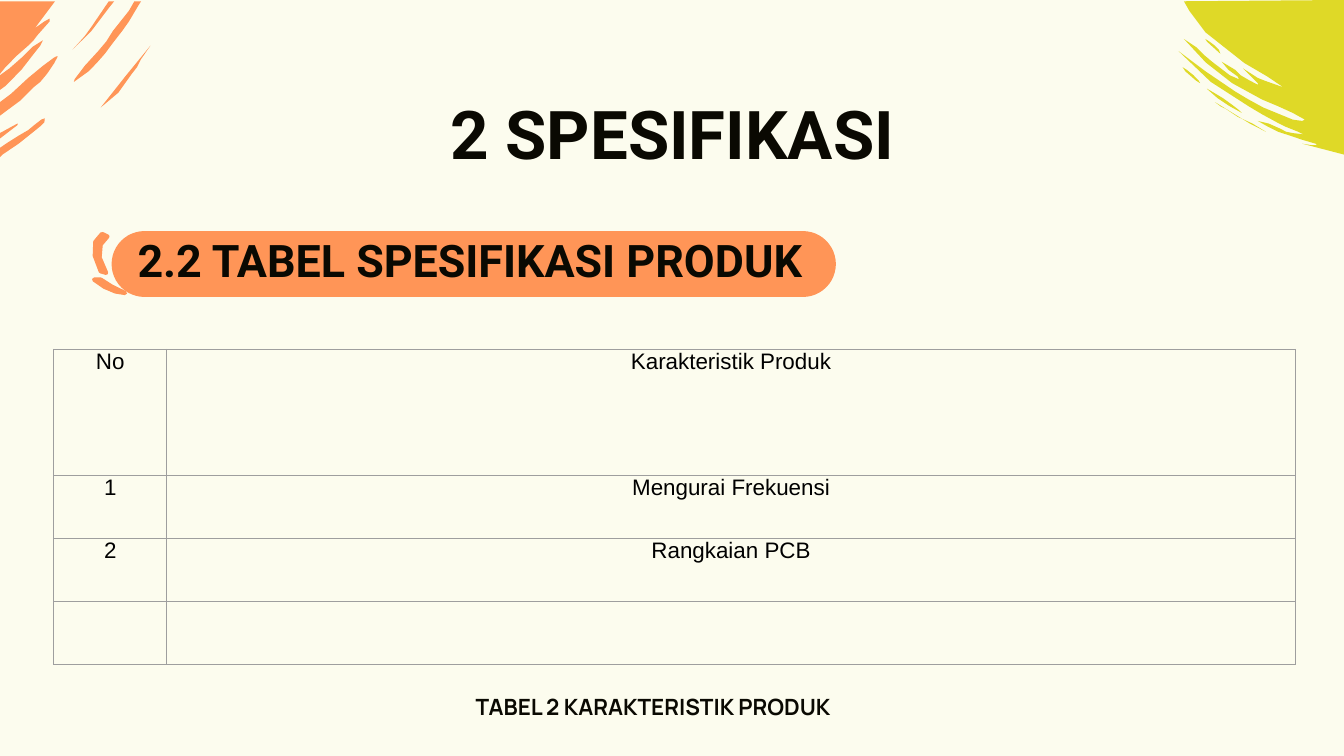
"""Build the product specification slide with its table and brush accents."""
import pptx
import pptx.dml.color
import pptx.enum.shapes
import pptx.enum.text
import pptx.oxml
import pptx.oxml.ns
import pptx.util

Pt = pptx.util.Pt
RGBColor = pptx.dml.color.RGBColor
CENTER = pptx.enum.text.PP_ALIGN.CENTER
TOP = pptx.enum.text.MSO_ANCHOR.TOP
MIDDLE = pptx.enum.text.MSO_ANCHOR.MIDDLE

CREAM = RGBColor(0xFC, 0xFC, 0xEE)
ORANGE = RGBColor(0xFF, 0x95, 0x57)
LIME = RGBColor(0xDF, 0xD9, 0x27)
INK = RGBColor(0x0A, 0x09, 0x02)
BLACK = RGBColor(0, 0, 0)
GREY = RGBColor(0x9E, 0x9E, 0x9E)

ORANGE_BRUSH = [
    [(0, 74.2), (9.4, 67), (9.4, 66.2), (0, 71.3)],
    [(0, 84.2), (1.4, 82.8), (10, 77), (18, 70.6), (21.6, 67.7), (23.8, 65.5), (24, 63.4),
     (22.3, 64), (19.4, 66.2), (15, 69.8), (10, 72.7), (4.3, 76.3), (0, 79.2)],
    [(0, 62), (2.9, 59.8), (10.8, 54), (18, 46.8), (21.6, 43.9), (25.2, 39.6), (29, 34),
     (31, 30.2), (30.2, 30.2), (28.8, 31), (23, 35.3), (15.1, 41.8), (5.8, 50.4), (0, 54.7)],
    [(54, 57.6), (63.4, 49.7), (70.6, 39.6), (73.4, 36), (75.6, 31.7), (80.6, 24.5),
     (67.3, 40.8)],
    [(0, 48.2), (2.9, 46.1), (11.5, 37.4), (18.7, 28.1), (21.6, 24.5), (23, 21.6),
     (17.3, 25.2), (11.5, 31), (5, 36.7), (0, 40.3)],
    [(39.6, 43.9), (47.5, 38.2), (51.8, 33.8), (56.2, 28.8), (60.5, 23), (65.5, 16.6),
     (69.1, 11.5), (74.2, 2.9), (75.6, 0.7), (72, 0.7), (69.1, 5.8), (60.5, 16.6),
     (56.9, 22.3), (52.6, 27.4), (45.4, 35.3), (40, 42.5)],
    [(38.9, 26.6), (49, 16.6), (58.3, 4.3), (61.2, 0.7), (58.3, 0.7), (49, 14.4),
     (45.4, 19.4)],
    [(0, 39.6), (2.9, 36), (5.8, 33.1), (8.6, 30.2), (15.1, 24.5), (18, 21.6), (20.2, 18.7),
     (26.6, 11.5), (26.6, 10), (23.8, 11.5), (18.7, 15.1), (29.5, 0.7), (0, 0.7)],
]
LIME_BRUSH = [
    [(720, 0), (720, 82.8), (697.7, 77), (702.7, 77.8), (705.6, 77.8), (704.9, 77),
     (697.7, 74.9), (691.2, 72.7), (684.7, 70.6), (679, 67.7), (673.9, 64.8), (679.7, 66.2),
     (686.2, 69.1), (689, 70.6), (692.6, 71.3), (698.4, 72), (695.5, 70.6), (688.3, 67.7),
     (684, 65.5), (676.1, 61.2), (668.9, 56.9), (648.7, 43.9), (631.4, 27.4), (645.8, 38.2),
     (661.7, 49), (668.9, 53.3), (676.8, 57.6), (692.6, 64.1), (697.7, 64.8), (699.1, 64.1),
     (692.6, 60.5), (684.7, 56.9), (676.1, 53.3), (660.2, 44.6), (646, 33.5), (634.3, 20.9),
     (640.8, 25.2), (645.1, 29.5), (649.4, 33.1), (658.8, 40.3), (663.8, 42.5), (663.1, 41),
     (658.1, 37.4), (654.5, 33.1), (661.7, 37.4), (664.6, 40.3), (669.6, 43.2),
     (673.9, 45.4), (673.9, 44.6), (670.3, 41), (666, 36.7), (673.9, 41.8), (677.5, 43.2),
     (687.6, 46.8), (679, 41), (666.7, 33.8), (645.8, 17.3), (637.2, 5.8), (634.3, 0.7)],
    [(645.8, 20.9), (648, 22.3), (650.9, 24.5), (653, 26.6), (653.8, 28.8), (646.6, 22.3)],
    [(633.6, 36), (635.8, 37.4), (639.4, 40.3), (642.2, 43.2), (643, 44.6), (640.8, 43.2),
     (635, 38.2)],
    [(646.6, 47.5), (651.6, 50.4), (655.2, 52.6), (660.2, 56.2), (663.8, 59), (665.3, 60.5),
     (658.8, 56.9), (652.3, 52.6), (647.3, 48.2)],
    [(650.9, 54.7), (653.8, 56.9), (656.6, 58.3), (663.1, 62.6), (671, 66.2), (678.2, 70.6),
     (669.6, 66.2)],
]
LOWER_TICK = [[(67, 157), (61.9, 156.2), (56, 153.7), (50.4, 149.8), (54, 149.8), (60, 153.6)]]
UPPER_TICK = [[(56.9, 146.2), (54, 145.4), (50.8, 137), (51.1, 129.6), (54.7, 125.3),
               (57.6, 126.7), (54, 131), (53.4, 138)]]
ROWS = [("No", "Karakteristik Produk"), ("1", "Mengurai Frekuensi"),
        ("2", "Rangkaian PCB"), ("", "")]


class SlideBuilder:
    """Hold the style and the current page, and draw each kind of element."""

    def __init__(self, page):
        """Start on a page with the cream background."""
        self.page = page
        page.background.fill.solid()
        page.background.fill.fore_color.rgb = CREAM

    def paint(self, shape, color, outline=0):
        """Fill a shape and give it an outline of the same colour or none."""
        shape.shadow.inherit = False
        shape.fill.solid()
        shape.fill.fore_color.rgb = color
        if outline:
            shape.line.color.rgb = color
            shape.line.width = Pt(outline)
        else:
            shape.line.fill.background()

    def pill(self, left, top, width, height, color):
        """Draw a fully rounded bar."""
        shape = self.page.shapes.add_shape(
            pptx.enum.shapes.MSO_SHAPE.ROUNDED_RECTANGLE, Pt(left), Pt(top), Pt(width), Pt(height))
        shape.adjustments[0] = 0.5
        self.paint(shape, color)

    def brush(self, strokes, color, outline=0):
        """Draw closed strokes as one freeform."""
        builder = None
        for stroke in strokes:
            start, *rest = [(Pt(x), Pt(y)) for x, y in stroke]
            if builder is None:
                builder = self.page.shapes.build_freeform(*start)
            else:
                builder.move_to(*start)
            builder.add_line_segments(rest, close=True)
        self.paint(builder.convert_to_shape(), color, outline)

    def style(self, para, font, size, color, bold=False, after=0):
        """Set the look of a centred paragraph."""
        para.alignment = CENTER
        para.space_after = Pt(after)
        para.font.name = font
        para.font.size = Pt(size)
        para.font.bold = bold
        para.font.color.rgb = color

    def text(self, left, top, width, height, words, font, size, anchor=TOP):
        """Add a bold centred line of text."""
        box = self.page.shapes.add_textbox(Pt(left), Pt(top), Pt(width), Pt(height))
        frame = box.text_frame
        frame.word_wrap = True
        frame.vertical_anchor = anchor
        frame.margin_left = frame.margin_right = Pt(7.2)
        frame.margin_top = frame.margin_bottom = Pt(7.2)
        frame.text = words
        self.style(frame.paragraphs[0], font, size, INK, bold=True)

    def border(self, cell):
        """Give a cell a thin grey line on each side."""
        properties = cell._tc.get_or_add_tcPr()
        for index, side in enumerate("LRTB"):
            properties.insert(index, pptx.oxml.parse_xml(
                f'<a:ln{side} {pptx.oxml.ns.nsdecls("a")} w="{Pt(0.75)}">'
                f'<a:solidFill><a:srgbClr val="{GREY}"/></a:solidFill></a:ln{side}>'))

    def table(self, left, top, widths, heights, rows):
        """Add a plain bordered table."""
        table = self.page.shapes.add_table(
            len(heights), len(widths), Pt(left), Pt(top), Pt(sum(widths)), Pt(sum(heights))).table
        table.first_row = table.horz_banding = False
        for column, width in zip(table.columns, widths):
            column.width = Pt(width)
        for row, height, entries in zip(table.rows, heights, rows):
            row.height = Pt(height)
            for cell, words in zip(row.cells, entries):
                cell.text = words
                cell.margin_left = cell.margin_right = Pt(5)
                cell.margin_top = cell.margin_bottom = 0
                cell.fill.background()
                self.border(cell)
                self.style(cell.text_frame.paragraphs[0], "Arial", 12, BLACK, after=6)


def main():
    """Build and save the deck."""
    deck = pptx.Presentation()
    deck.slide_width, deck.slide_height = Pt(720), Pt(405)
    slide = SlideBuilder(deck.slides.add_slide(deck.slide_layouts[6]))
    slide.pill(59.8, 123.8, 388, 35.3, ORANGE)
    slide.brush(LOWER_TICK, ORANGE, 2.25)
    slide.brush(UPPER_TICK, ORANGE, 2.25)
    slide.text(136, 42.5, 448.5, 82.8, "2 SPESIFIKASI", "Roboto", 36)
    slide.text(242, 364.3, 216, 28, "TABEL 2 KARAKTERISTIK PRODUK", "Manrope", 12)
    slide.brush(LIME_BRUSH, LIME)
    slide.brush(ORANGE_BRUSH, ORANGE)
    slide.text(56.2, 120.2, 391, 37.4, "2.2 TABEL SPESIFIKASI PRODUK", "Roboto", 24, MIDDLE)
    slide.table(28.8, 187.2, [60.5, 604.8], [67.5] + [33.75] * 3, ROWS)
    deck.save("out.pptx")


if __name__ == "__main__":
    main()
